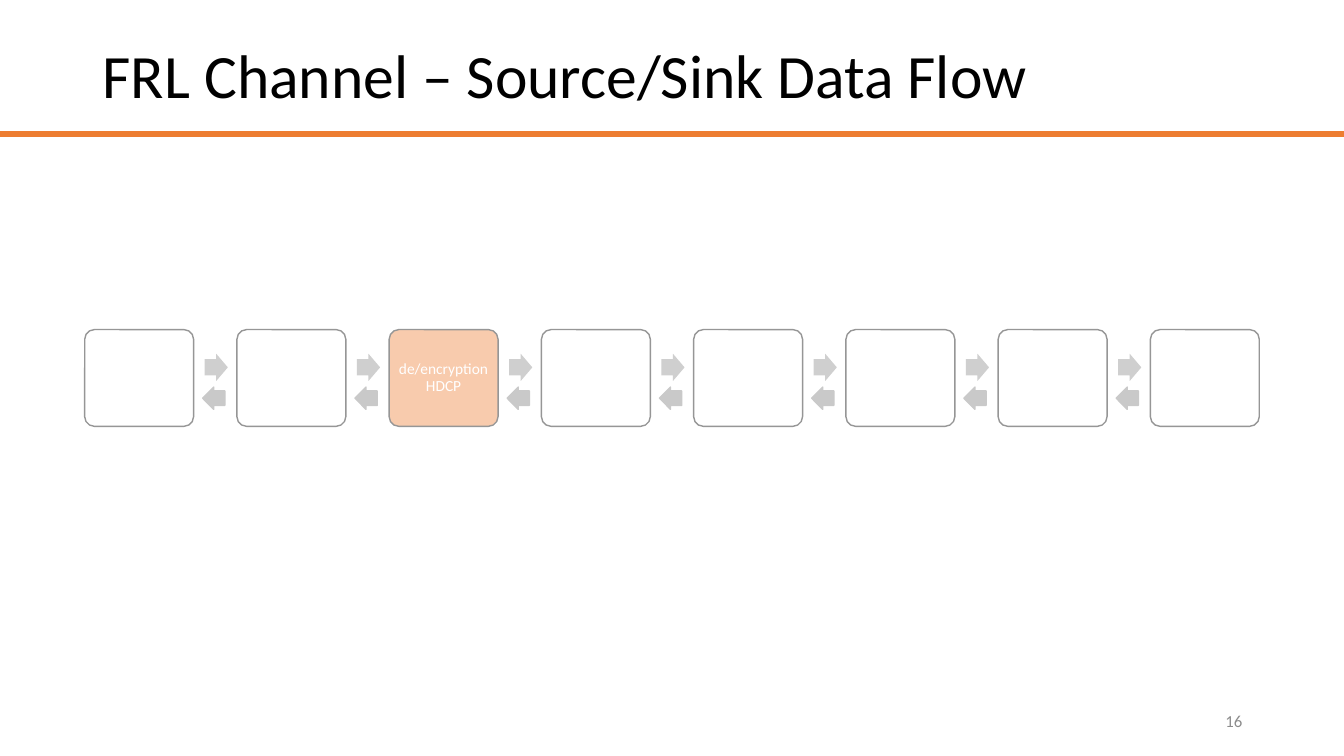
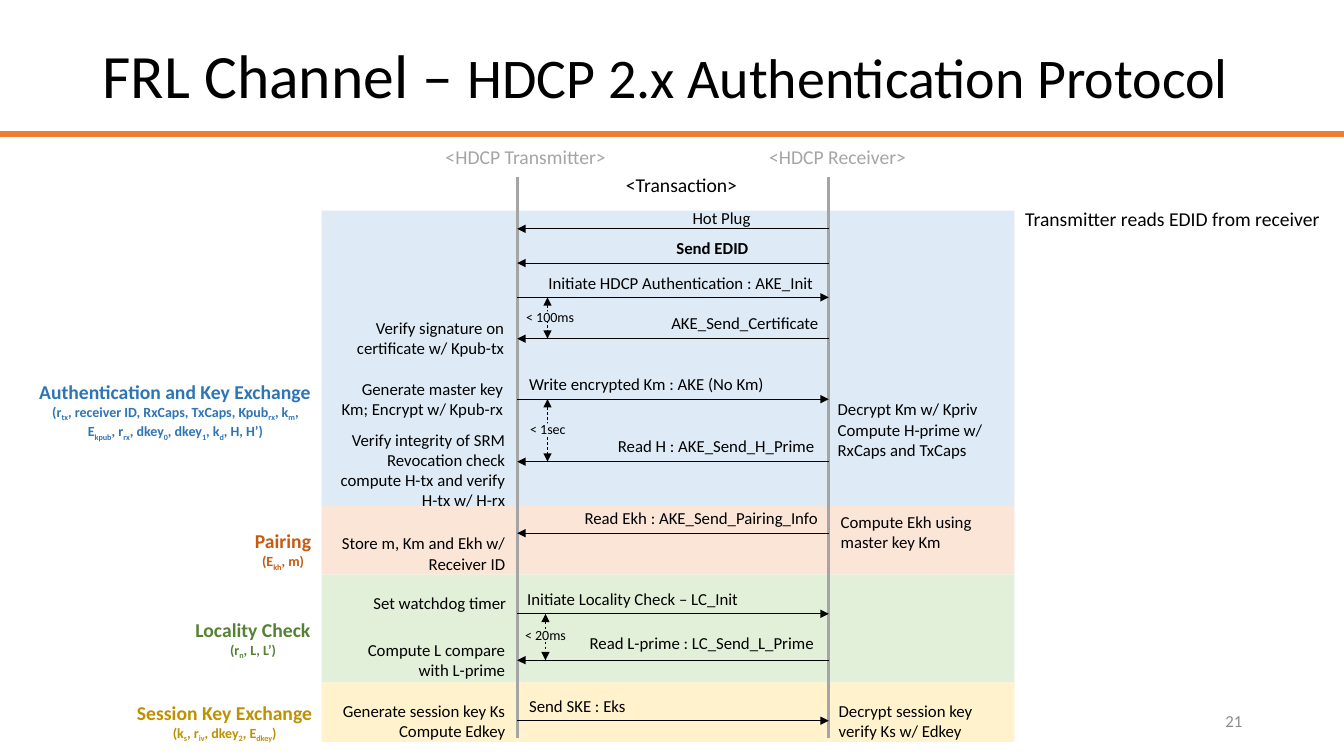
"""Builds two slides on the FRL channel: its data flow and its HDCP 2.x authentication."""
from lxml import etree
from pptx import Presentation
from pptx.dml import color
from pptx.enum import dml, shapes, text
from pptx.oxml import ns
from pptx.util import Inches, Pt

FONT = "Calibri"
BLACK, WHITE, GREY = "000000", "FFFFFF", "A5A5A5"
ACCENT, PAGE_GREY = "ED7D31", "8C8C8C"
NODE_LINE, NODE_FILL = "969696", "F8CBAD"
FORWARD, BACKWARD = "CFCFCF", "C9C9C9"
BLUE, ORANGE, GREEN, YELLOW = "DEEBF7", "FBE5D6", "E2F0D9", "FFF2CC"
LEFT, CENTER, RIGHT = text.PP_ALIGN.LEFT, text.PP_ALIGN.CENTER, text.PP_ALIGN.RIGHT

FLOW_TITLE = [("FRL Channel – Source/Sink Data Flow", 44)]
FLOW_NODES = ["", "", "de/encryption HDCP", "", "", "", "", ""]

PROTOCOL_TITLE = [("FRL Channel – ", 44), ("HDCP 2.x Authentication Protocol", 40)]
TRANSMITTER_X, RECEIVER_X = 5.13, 8.22
BAND_LEFT, BAND_WIDTH = 3.19, 6.87
BANDS = [(2.09, 5.02, BLUE), (5.02, 5.7, ORANGE), (5.7, 6.77, GREEN), (6.77, 7.36, YELLOW)]
HEADINGS = [
    ("<HDCP Transmitter>", 4.32, 1.39, 1.81, GREY),
    ("<HDCP Receiver>", 7.53, 1.39, 1.57, GREY),
    ("<Transaction>", 6.11, 1.67, 1.32, BLACK),
    ("Transmitter reads EDID from receiver", 10.07, 2, 3.15, BLACK),
]
# Each message: wording, label left, top and width, arrow height, sent by the transmitter, bold
MESSAGES = [
    ("Hot Plug", 6.77, 2.01, 0.78, 2.27, False, False),
    ("Send EDID", 6.61, 2.31, 0.97, 2.61, False, True),
    ("Initiate HDCP Authentication : AKE_Init", 5.34, 2.66, 2.9, 2.95, True, False),
    ("AKE_Send_Certificate", 6.56, 3.05, 1.68, 3.36, False, False),
    ("Write encrypted Km : AKE (No Km)", 5.15, 3.66, 2.6, 3.96, True, False),
    ("Read H : AKE_Send_H_Prime", 6.03, 4.27, 2.21, 4.58, False, False),
    ("Read Ekh : AKE_Send_Pairing_Info", 5.7, 4.99, 2.54, 5.29, False, False),
    ("Initiate Locality Check – LC_Init", 5.13, 5.79, 2.32, 6.09, True, False),
    ("Read L-prime : LC_Send_L_Prime", 5.75, 6.23, 2.49, 6.55, False, False),
    ("Send SKE : Eks", 5.15, 6.85, 1.17, 7.15, True, False),
]
NOTE_WIDTH = 1.86
TRANSMITTER_NOTES = [
    ("Verify signature on certificate w/ Kpub-tx", 3.24, 3.1, 0.5),
    ("Generate master key Km; Encrypt w/ Kpub-rx", 3.23, 3.71, 0.5),
    ("Verify integrity of SRM Revocation check compute H-tx and verify H-tx w/ H-rx",
     3.25, 4.21, 0.91),
    ("Store m, Km and Ekh w/ Receiver ID", 3.25, 5.24, 0.5),
    ("Set watchdog timer", 3.26, 5.83, 0.3),
    ("Compute L compare with L-prime", 3.25, 6.3, 0.5),
    ("Generate session key Ks Compute Edkey", 3.25, 6.9, 0.5),
]
RECEIVER_NOTES = [
    ("Decrypt Km w/ Kpriv Compute H-prime w/ RxCaps and TxCaps", 8.21, 3.91, 0.71),
    ("Compute Ekh using master key Km", 8.24, 5.03, 0.5),
    ("Decrypt session key verify Ks w/ Edkey", 8.22, 6.9, 0.5),
]
TIMEOUTS = [
    ("< 100ms", (5.12, 3.01, 0.69, 0.27), 5.43, 2.95, 3.36, (5.38, 3.09, 0.11, 0.1), BLUE),
    ("< 1sec", (5.16, 4.12, 0.56, 0.27), 5.43, 3.96, 4.58, (5.33, 4.2, 0.19, 0.12), BLUE),
    ("< 20ms", (5.11, 6.17, 0.63, 0.28), 5.41, 6.09, 6.55, (5.33, 6.27, 0.16, 0.09), GREEN),
]
PHASES = [
    ("Authentication and Key Exchange",
     "(r|tx|, receiver ID, RxCaps, TxCaps, Kpub|rx|, k|m|, E|kpub|, r|rx|"
     ", dkey|0|, dkey|1|, k|d|, H, H’)", (0.29, 3.72, 2.9, 0.67), "2E75B6", True),
    ("Pairing", "(E|kh|, m)", (2.43, 5.2, 0.77, 0.51), "C55A11", False),
    ("Locality Check", "(r|n|, L, L’)", (1.84, 6.08, 1.35, 0.51), "548235", False),
    ("Session Key Exchange", "(k|s|, r|iv|, dkey|2|, E|dkey|)",
     (1.26, 6.9, 1.95, 0.51), "BF9000", False),
]


def rgb(value):
    return color.RGBColor.from_string(value)


def style(run, size, ink, bold=False):
    run.font.name, run.font.size, run.font.bold = FONT, Pt(size), bold
    run.font.color.rgb = rgb(ink)


def add_text(slide, box, wording, size, ink=BLACK, align=LEFT, bold=False, wrap=False,
             anchor=text.MSO_ANCHOR.TOP):
    frame = slide.shapes.add_textbox(*map(Inches, box)).text_frame
    frame.word_wrap, frame.vertical_anchor = wrap, anchor
    frame.text = wording
    line = frame.paragraphs[0]
    line.alignment = align
    for run in line.runs:
        style(run, size, ink, bold)
    return frame


def add_block(slide, kind, box, fill, outline=None, adjustments=()):
    block = slide.shapes.add_shape(kind, *map(Inches, box))
    block.shadow.inherit = False
    block.fill.solid()
    block.fill.fore_color.rgb = rgb(fill)
    if outline:
        block.line.color.rgb = rgb(outline)
        block.line.width = Pt(1)
    else:
        block.line.fill.background()
    for index, value in enumerate(adjustments):
        block.adjustments[index] = value
    return block


def add_line(slide, start, end, ink, width, ends=(), dashed=False):
    line = slide.shapes.add_connector(shapes.MSO_CONNECTOR.STRAIGHT, *map(Inches, start + end))
    line.line.color.rgb = rgb(ink)
    line.line.width = Pt(width)
    if dashed:
        line.line.dash_style = dml.MSO_LINE.DASH
    for tip in ends:
        etree.SubElement(line.line._get_or_add_ln(), ns.qn(f"a:{tip}")).set("type", "triangle")
    etree.SubElement(line._element.spPr, ns.qn("a:effectLst"))


def add_slide(deck, title, number):
    slide = deck.slides.add_slide(deck.slide_layouts[6])
    add_line(slide, (0, 1.33), (13.33, 1.33), ACCENT, 4)
    heading = add_text(slide, (0.92, 0.4, 11.5, 1.45), "", 44, wrap=True).paragraphs[0]
    heading.line_spacing = 0.9
    for wording, size in title:
        run = heading.add_run()
        run.text = wording
        style(run, size, BLACK)
    add_text(slide, (9.42, 6.95, 3, 0.4), number, 12, PAGE_GREY, RIGHT, wrap=True,
             anchor=text.MSO_ANCHOR.MIDDLE)
    return slide


def add_node(slide, left, label):
    node = add_block(slide, shapes.MSO_SHAPE.ROUNDED_RECTANGLE, (left, 3.27, 1.08, 0.96),
                     NODE_FILL if label else WHITE, NODE_LINE, (0.1,))
    if label:
        frame = node.text_frame
        frame.margin_left = frame.margin_right = Inches(0.05)
        frame.margin_top = frame.margin_bottom = Inches(0.05)
        frame.word_wrap, frame.vertical_anchor = True, text.MSO_ANCHOR.MIDDLE
        frame.text = label
        frame.paragraphs[0].alignment = CENTER
        frame.paragraphs[0].line_spacing = 0.9
        style(frame.paragraphs[0].runs[0], 11, WHITE)


def build_flow(deck):
    slide = add_slide(deck, FLOW_TITLE, "16")
    pitch = 1.51
    for index, label in enumerate(FLOW_NODES):
        add_node(slide, 0.84 + index * pitch, label)
    for index in range(len(FLOW_NODES) - 1):
        add_block(slide, shapes.MSO_SHAPE.RIGHT_ARROW,
                  (2.03 + index * pitch, 3.51, 0.23, 0.27), FORWARD, None, (0.6, 0.5))
        add_block(slide, shapes.MSO_SHAPE.LEFT_ARROW,
                  (2.01 + index * pitch, 3.84, 0.22, 0.22), BACKWARD, BACKWARD, (0.66, 0.5))


def add_phase(slide, name, parameters, box, ink, wrap):
    frame = add_text(slide, box, name, 14, ink, bold=True, wrap=wrap)
    line = frame.add_paragraph()
    line.alignment = CENTER
    for index, part in enumerate(parameters.split("|")):
        run = line.add_run()
        run.text = part
        style(run, 10, ink, True)
        if index % 2:
            run._r.get_or_add_rPr().set("baseline", "-25000")


def build_protocol(deck):
    slide = add_slide(deck, PROTOCOL_TITLE, "21")
    for top, bottom, fill in BANDS:
        add_block(slide, shapes.MSO_SHAPE.RECTANGLE,
                  (BAND_LEFT, top, BAND_WIDTH, bottom - top), fill)
    for x in (TRANSMITTER_X, RECEIVER_X):
        add_line(slide, (x, 1.76), (x, 7.32), GREY, 2)
    for wording, left, top, width, ink in HEADINGS:
        add_text(slide, (left, top, width, 0.34), wording, 14, ink)
    for wording, left, top, width, y, outgoing, bold in MESSAGES:
        start, end = (TRANSMITTER_X, y), (RECEIVER_X, y)
        if not outgoing:
            start, end = end, start
        add_line(slide, start, end, BLACK, 0.5, ["tailEnd"])
        add_text(slide, (left, top, width, 0.3), wording, 12, bold=bold)
    for notes, align in ((TRANSMITTER_NOTES, RIGHT), (RECEIVER_NOTES, LEFT)):
        for wording, left, top, height in notes:
            add_text(slide, (left, top, NOTE_WIDTH, height), wording, 12, align=align, wrap=True)
    for wording, box, x, top, bottom, gap, fill in TIMEOUTS:
        add_line(slide, (x, top), (x, bottom), BLACK, 0.5, ["headEnd", "tailEnd"], True)
        add_block(slide, shapes.MSO_SHAPE.RECTANGLE, gap, fill)
        add_text(slide, box, wording, 10)
    for phase in PHASES:
        add_phase(slide, *phase)


def main():
    deck = Presentation()
    deck.slide_width, deck.slide_height = Inches(13.33), Inches(7.5)
    build_flow(deck)
    build_protocol(deck)
    deck.save("out.pptx")


if __name__ == "__main__":
    main()
